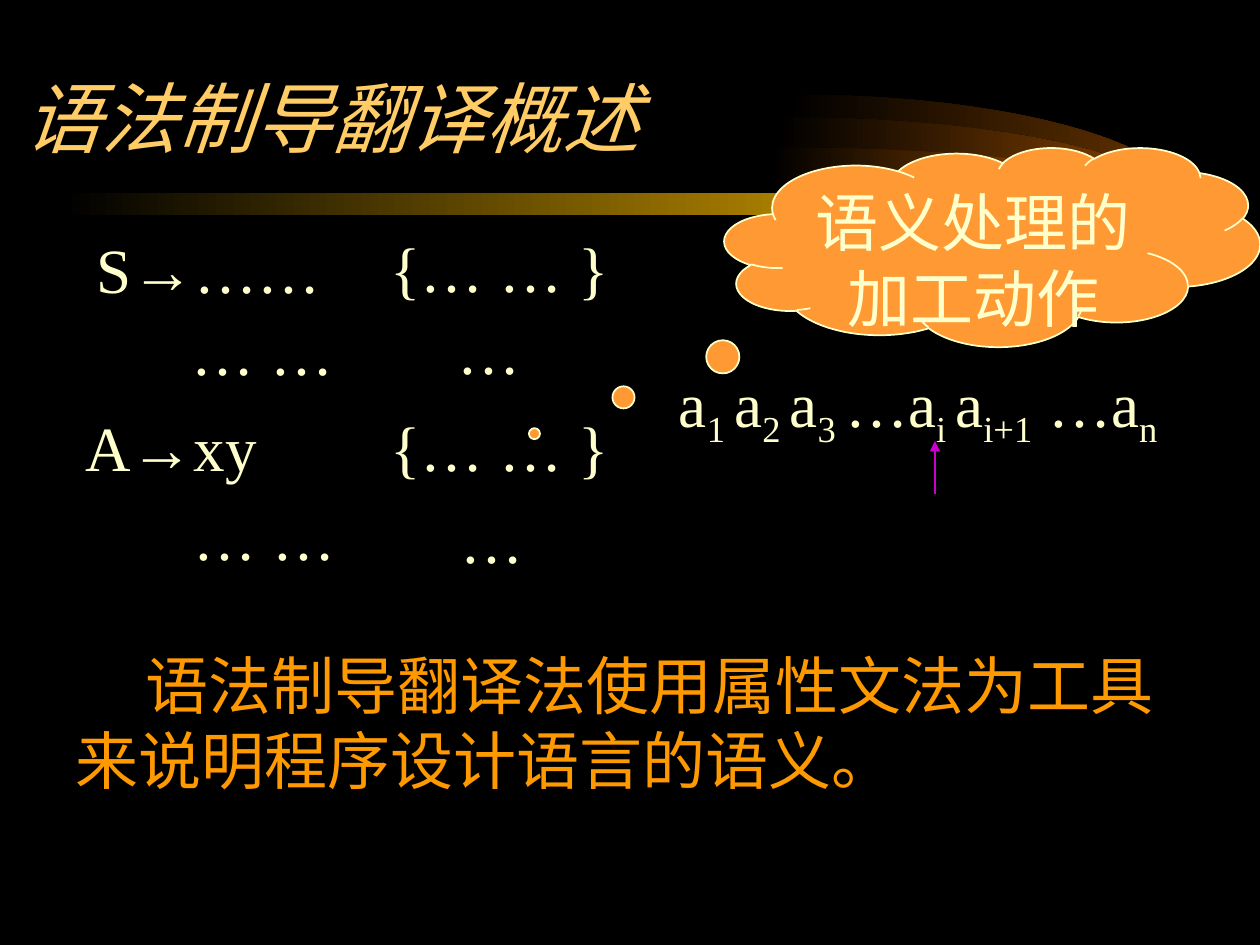
from dataclasses import dataclass

from lxml.etree import SubElement
from pptx import Presentation
from pptx.dml.color import RGBColor
from pptx.enum.shapes import MSO_CONNECTOR, MSO_SHAPE
from pptx.enum.text import MSO_ANCHOR, PP_ALIGN
from pptx.oxml.ns import qn
from pptx.util import Inches, Pt

BLACK = RGBColor(0x00, 0x00, 0x00)
CREAM = RGBColor(0xFF, 0xFF, 0xCC)
GOLD = RGBColor(0xFF, 0xCC, 0x66)
AMBER = RGBColor(0xFF, 0x99, 0x00)
BAR_YELLOW = RGBColor(0xFF, 0xBF, 0x00)
CLOUD_ORANGE = RGBColor(0xFF, 0x99, 0x33)
MAGENTA = RGBColor(0xCC, 0x00, 0xCC)
LATIN_FONT = "Times New Roman"
CHINESE_FONT = "Noto Sans CJK SC"
CURVE = 0.55  # control point distance for a quarter ellipse


@dataclass
class HalfEllipse:
    left: float
    top: float
    height: float
    color: RGBColor
    width: float = 3.18
    notch: float = 0.05


@dataclass
class Label:
    text: str
    left: float
    top: float
    width: float
    height: float = 0.7
    color: RGBColor = CREAM
    size: int = 36
    font: str = LATIN_FONT
    indent: float = 0


HALF_ELLIPSES = [
    HalfEllipse(6.24, 0.75, 1.75, RGBColor(0x66, 0x33, 0x00)),
    HalfEllipse(6.16, 0.93, 1.39, RGBColor(0x89, 0x44, 0x00)),
    HalfEllipse(6.11, 1.17, 0.91, RGBColor(0xB7, 0x5B, 0x00)),
]
TITLE = Label("语法制导翻译概述", 0.09, 0.09, 9.92, 1.25, GOLD, 44, CHINESE_FONT)
GRAMMAR = [
    Label("S→……", 0.67, 1.78, 2.25),
    Label("{… … }", 3, 1.77, 2.17),
    Label("… …", 1.42, 2.43, 1.42),
    Label("…", 3.53, 2.42, 0.83),
    Label("A→xy", 0.58, 3.19, 2.25),
    Label("{… … }", 3, 3.19, 2.17),
    Label("… …", 1.44, 3.9, 1.42),
    Label("…", 3.56, 3.92, 0.83),
]
SUMMARY = Label("语法制导翻译法使用属性文法为工具来说明程序设计语言的语义。",
                0.5, 5.08, 9, 1.3, AMBER, indent=0.56)
SEQUENCE = Label("", 5.17, 2.84, 4.42, 0.79, indent=0.12)
# Each symbol is followed by its subscript
SYMBOLS = [("a", "1 "), ("a", "2 "), ("a", "3 "), ("…a", "i "),
           ("a", "i+1"), (" …a", "n")]


def style_paragraph(para, color, size=36, font=LATIN_FONT):
    para.font.size = Pt(size)
    para.font.name = font
    para.font.color.rgb = color
    properties = para.font.fill._xPr
    SubElement(properties, qn("a:ea")).set("typeface", CHINESE_FONT)


def fill_gradient(shape, color: RGBColor):
    shape.shadow.inherit = False
    shape.line.fill.background()
    shape.fill.gradient()
    shape.fill.gradient_angle = 0
    for stop, stop_color in zip(shape.fill.gradient_stops, (BLACK, color)):
        stop.color.rgb = stop_color


def bend_segment(segment, points):
    """Turn a straight outline segment into a Bezier curve."""
    segment.tag = qn("a:cubicBezTo")
    for child in list(segment):
        segment.remove(child)
    for x, y in points:
        point = SubElement(segment, qn("a:pt"))
        point.set("x", str(Inches(x)))
        point.set("y", str(Inches(y)))


def draw_half_ellipse(page, arc: HalfEllipse):
    middle, notch = arc.height / 2, arc.notch
    corners = [(notch, 0), (arc.width, middle), (notch, arc.height),
               (0, arc.height), (notch, middle)]
    points = [(Inches(arc.left + x), Inches(arc.top + y)) for x, y in corners]
    builder = page.shapes.build_freeform(*points[0])
    builder.add_line_segments(points[1:], close=True)
    shape = builder.convert_to_shape()

    reach = notch + CURVE * (arc.width - notch)
    rise = CURVE * middle
    upper, lower = list(shape._element.iter(qn("a:lnTo")))[:2]
    bend_segment(upper, [(reach, 0), (arc.width, middle - rise), corners[1]])
    bend_segment(lower, [(arc.width, middle + rise), (reach, arc.height), corners[2]])
    fill_gradient(shape, arc.color)


def draw_label(page, label: Label):
    box = page.shapes.add_textbox(Inches(label.left), Inches(label.top),
                                  Inches(label.width), Inches(label.height))
    box.text_frame.word_wrap = True
    para = box.text_frame.paragraphs[0]
    if label.text:
        para.add_run().text = label.text
    if label.indent:
        para._p.get_or_add_pPr().set("indent", str(Inches(label.indent)))
    style_paragraph(para, label.color, label.size, label.font)
    return box


def draw_sequence(page):
    para = draw_label(page, SEQUENCE).text_frame.paragraphs[0]
    for symbol, subscript in SYMBOLS:
        para.add_run().text = symbol
        span = para.add_run()
        span.text = subscript
        span.font._element.set("baseline", "-25000")


def draw_pointer(page):
    arrow = page.shapes.add_connector(MSO_CONNECTOR.STRAIGHT, Inches(7.42),
                                      Inches(3.5), Inches(7.42), Inches(3.92))
    arrow.line.color.rgb = MAGENTA
    arrow.line.width = Pt(1)
    SubElement(arrow.line._get_or_add_ln(), qn("a:headEnd")).set("type", "triangle")
    SubElement(arrow._element.spPr, qn("a:effectLst"))


def draw_cloud(page):
    cloud = page.shapes.add_shape(MSO_SHAPE.CLOUD_CALLOUT, Inches(5.75),
                                  Inches(1.17), Inches(4.25), Inches(1.58))
    cloud.adjustments[0] = -0.855
    cloud.adjustments[1] = 0.938
    cloud.shadow.inherit = False
    cloud.fill.solid()
    cloud.fill.fore_color.rgb = CLOUD_ORANGE
    cloud.line.color.rgb = CREAM
    cloud.line.width = Pt(1)
    frame = cloud.text_frame
    frame.word_wrap = True
    frame.vertical_anchor = MSO_ANCHOR.TOP
    para = frame.paragraphs[0]
    para.add_run().text = "语义处理的加工动作"
    para.alignment = PP_ALIGN.CENTER
    style_paragraph(para, CREAM)


def main():
    deck = Presentation()
    deck.slide_width, deck.slide_height = Inches(10), Inches(7.5)
    page = deck.slides.add_slide(deck.slide_layouts[6])
    page.background.fill.solid()
    page.background.fill.fore_color.rgb = BLACK

    # Glowing backdrop and title rule
    for arc in HALF_ELLIPSES:
        draw_half_ellipse(page, arc)
    rule = page.shapes.add_shape(MSO_SHAPE.ROUNDED_RECTANGLE, Inches(0.5),
                                 Inches(1.53), Inches(8.66), Inches(0.18))
    rule.adjustments[0] = 0.5
    fill_gradient(rule, BAR_YELLOW)

    # Title
    title = draw_label(page, TITLE)
    title.text_frame.vertical_anchor = MSO_ANCHOR.BOTTOM
    title.text_frame.paragraphs[0].font.italic = True

    # Grammar rules with their actions, and the summary
    for label in [*GRAMMAR, SUMMARY]:
        draw_label(page, label)

    # Input symbols, reading position and callout
    draw_sequence(page)
    draw_pointer(page)
    draw_cloud(page)
    deck.save("out.pptx")


if __name__ == "__main__":
    main()
